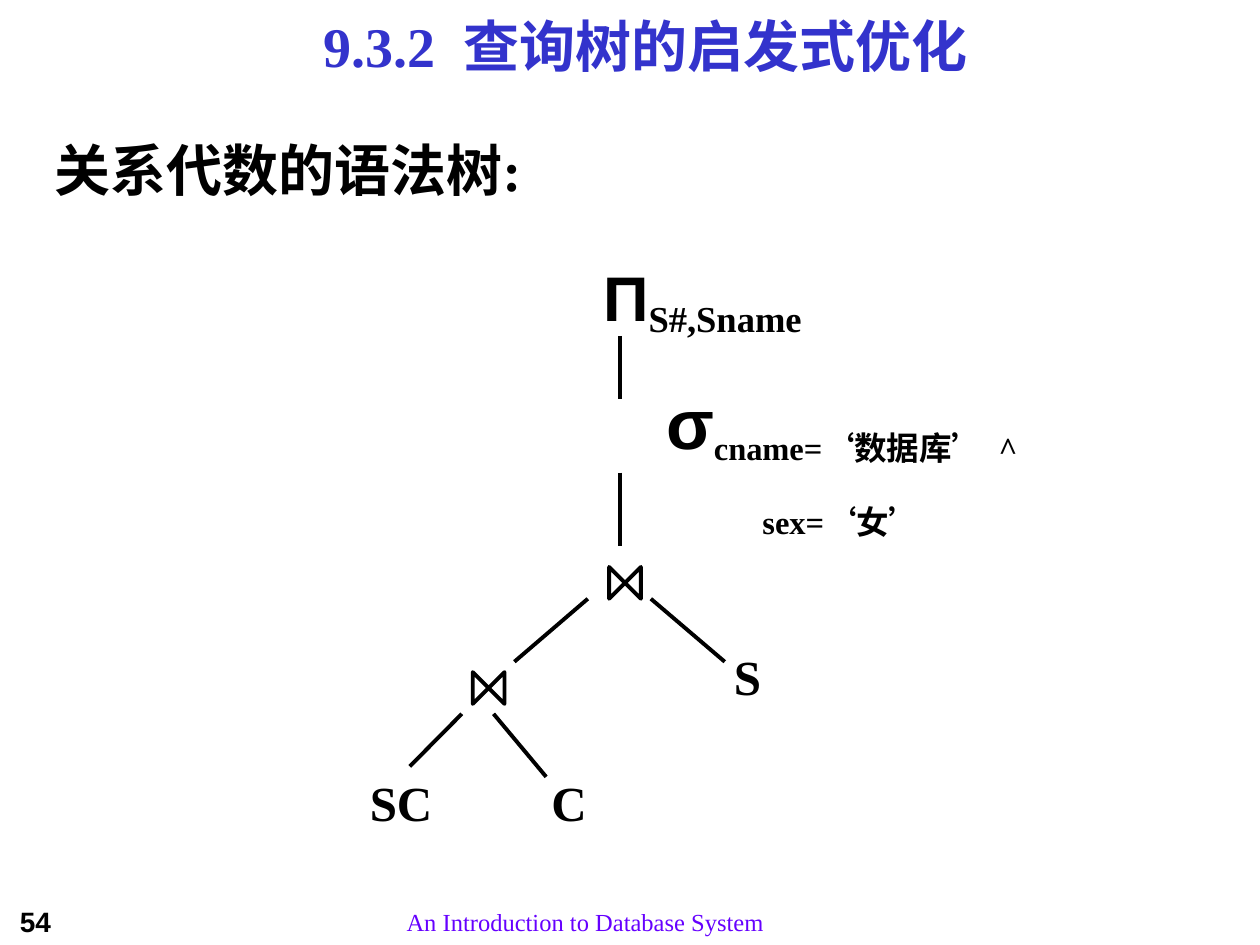
"""Build a slide showing the syntax tree of a relational algebra query."""
from lxml import etree
from pptx import Presentation
from pptx.dml.color import RGBColor
from pptx.enum.shapes import MSO_CONNECTOR, MSO_SHAPE
from pptx.enum.text import MSO_ANCHOR, PP_ALIGN
from pptx.oxml.ns import qn
from pptx.util import Cm, Pt

LEFT, CENTER = PP_ALIGN.LEFT, PP_ALIGN.CENTER
MIDDLE = MSO_ANCHOR.MIDDLE
STRAIGHT = MSO_CONNECTOR.STRAIGHT
COLLATE = MSO_SHAPE.FLOWCHART_COLLATE
SERIF, SANS = "Times New Roman", "Arial"
BLACK, BLUE, VIOLET = "000000", "3333CC", "6600FF"


def color(value):
    return RGBColor.from_string(value)


def add_text(box, pieces, tone=BLACK, bold=True, align=CENTER, before=0, wrap=False):
    shape = slide.shapes.add_textbox(*[Cm(length) for length in box])
    shape.text_frame.word_wrap = wrap
    paragraph = shape.text_frame.paragraphs[0]
    paragraph.alignment = align
    paragraph.space_before = Pt(before)
    for text, size, font, baseline in pieces:
        if text == "\v":
            paragraph.add_line_break()
            continue
        run = paragraph.add_run()
        run.text = text
        run.font.size = Pt(size)
        run.font.name = font
        run.font.bold = bold
        run.font.color.rgb = color(tone)
        if baseline:
            run.font._element.set("baseline", str(baseline * 1000))
    return shape


presentation = Presentation()
presentation.slide_width = Cm(25.4)
presentation.slide_height = Cm(19.05)
slide = presentation.slides.add_slide(presentation.slide_layouts[6])

add_text((0.15, 18.11, 3.1, 0.94), [("54", 16, SANS, 0)], align=LEFT, before=10, wrap=True)
add_text((6.68, 18.16, 10.24, 0.89), [("An Introduction to Database System", 14, SERIF, 0)],
         tone=VIOLET, bold=False, wrap=True)

heading = add_text((0.84, 2.34, 16.71, 2.11), [("关系代数的语法树:", 32, SERIF, 0)],
                   align=LEFT, before=8, wrap=True)
heading.text_frame.paragraphs[0].line_spacing = 1.2

title = add_text((2.51, 0.18, 21.01, 1.47), [("9.3.2  查询树的启发式优化", 32, SERIF, 0)],
                 tone=BLUE, wrap=True)
title.text_frame.vertical_anchor = MIDDLE

for left, top in [(9.53, 13.55), (12.28, 11.43)]:
    join = slide.shapes.add_shape(COLLATE, Cm(left), Cm(top), Cm(0.64), Cm(0.64))
    join.rotation = 90
    join.shadow.inherit = False
    join.fill.background()
    join.line.color.rgb = color(BLACK)
    join.line.width = Pt(2.25)

for relation, left, top, width in [("SC", 7.11, 15.45, 1.95), ("C", 10.82, 15.45, 1.3),
                                   ("S", 14.5, 12.91, 1.14)]:
    add_text((left, top, width, 1.45), [(relation, 28, SERIF, 0)], before=17.5)

add_text((11.66, 7.52, 10.62, 2.03),
         [("σ", 40, SANS, 0), ("cname=‘数据库’  ^", 32, SERIF, -20),
          ("\v", 32, SERIF, 0), ("sex=‘女’", 32, SERIF, -20)], before=20)
add_text((11.76, 5.08, 4.8, 1.91),
         [("Π", 36, SANS, 0), ("S#,Sname", 36, SERIF, -18)], before=22.5)

branches = [
    (8.26, 15.45, 9.31, 14.39),
    (9.95, 14.39, 11.01, 15.66),
    (10.37, 13.34, 11.85, 12.07),
    (13.12, 12.07, 14.61, 13.34),
    (12.49, 9.53, 12.49, 11.01),
    (12.49, 6.77, 12.49, 8.04),
]
for branch in branches:
    connector = slide.shapes.add_connector(STRAIGHT, *[Cm(length) for length in branch])
    connector.line.color.rgb = color(BLACK)
    connector.line.width = Pt(2.25)
    etree.SubElement(connector._element.spPr, qn("a:effectLst"))

presentation.save("out.pptx")
